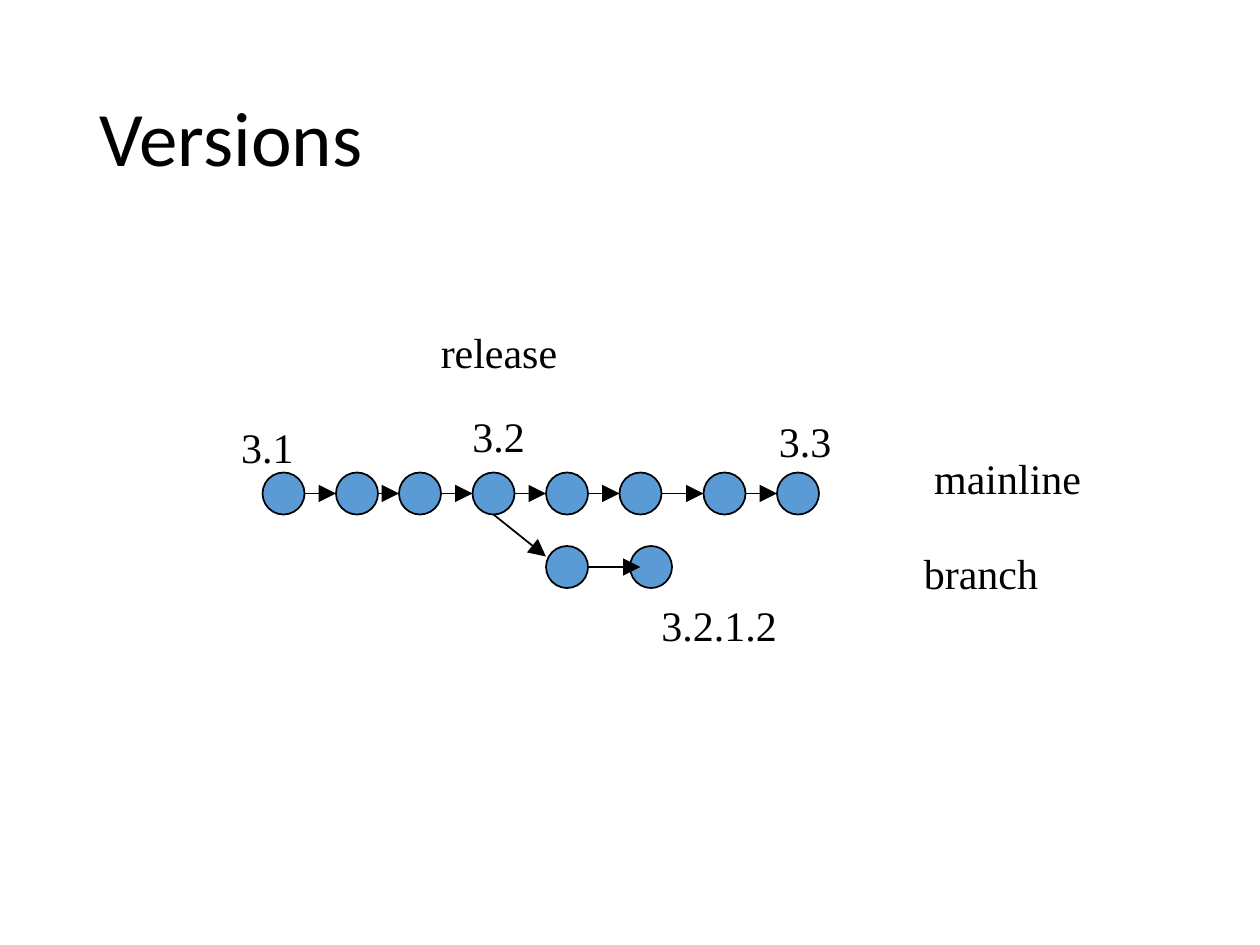
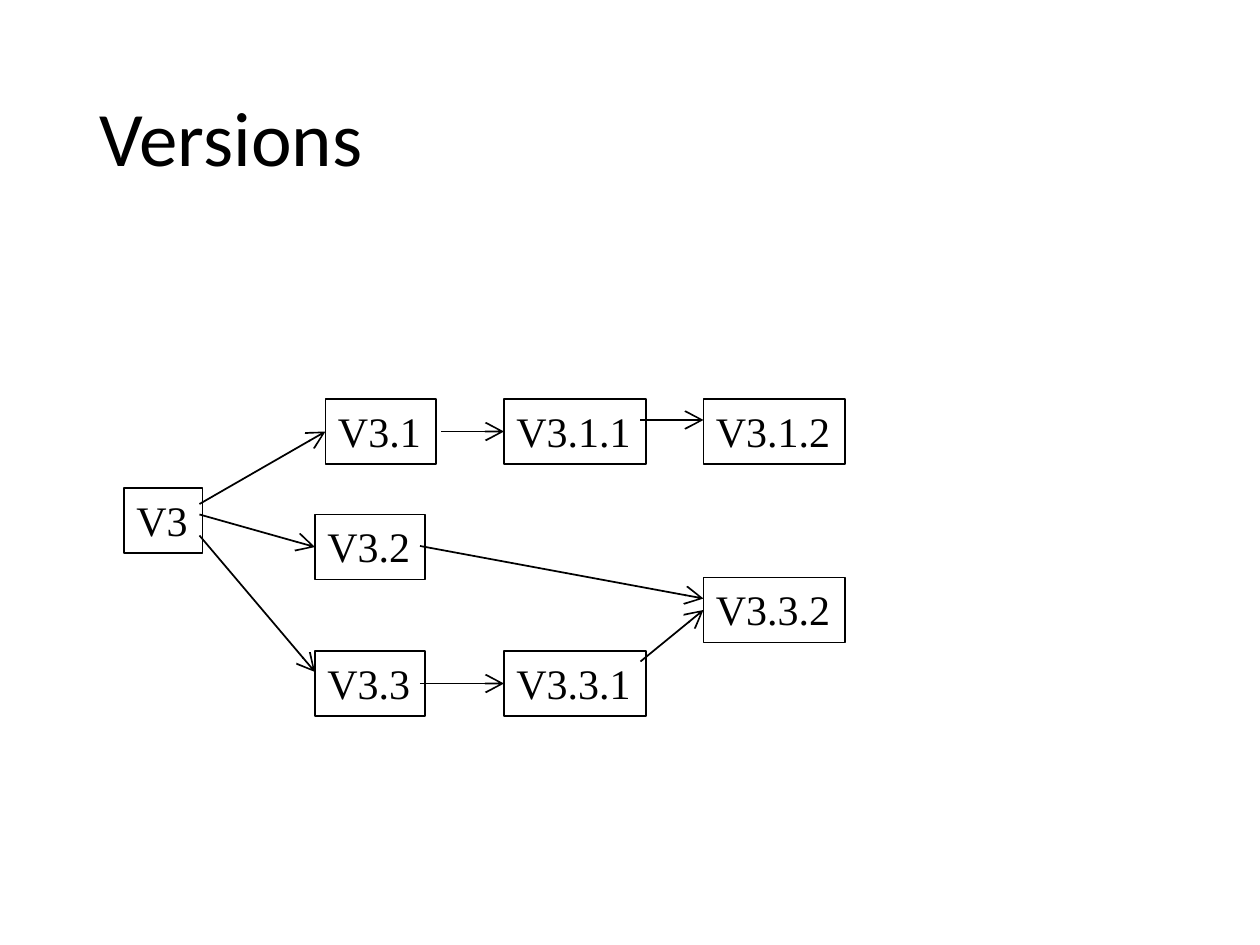
from itertools import pairwise
from typing import NamedTuple

from pptx import Presentation
from pptx.dml.color import RGBColor
from pptx.enum.shapes import MSO_CONNECTOR, MSO_SHAPE
from pptx.enum.text import MSO_ANCHOR, MSO_AUTO_SIZE, PP_ALIGN
from pptx.oxml.xmlchemy import OxmlElement
from pptx.shapes.autoshape import Shape
from pptx.slide import Slide
from pptx.text.text import TextFrame
from pptx.util import Emu, Pt

STRAIGHT = MSO_CONNECTOR.STRAIGHT
ELLIPSE = MSO_SHAPE.OVAL
LEFT = PP_ALIGN.LEFT
MIDDLE, TOP = MSO_ANCHOR.MIDDLE, MSO_ANCHOR.TOP
FIT_SHAPE, NO_FIT = MSO_AUTO_SIZE.SHAPE_TO_FIT_TEXT, MSO_AUTO_SIZE.NONE

EMU_PER_PX = 7620  # 120 px to the inch
SLIDE_WIDTH, SLIDE_HEIGHT = 1200, 900
TITLE_ONLY = 5
COLORS = {"ink": "000000", "commit": "5B9BD5"}
TITLE_FONT, LABEL_FONT = "Calibri", "Times New Roman"
LEFT_SIDE = 1  # connection site of a rectangle


class Label(NamedTuple):
    text: str
    x: int
    y: int
    width: int
    height: int = 60
    wrap: bool = False


class Step(NamedTuple):
    start: tuple[int, int]
    end: tuple[int, int]
    joined_to: str = ""  # version whose left side the arrow meets at its middle


# Commit history
COMMIT_SIZE = 40
MAINLINE_Y, BRANCH_Y = 450, 520
MAINLINE_XS = [250, 320, 380, 450, 520, 590, 670, 740]
BRANCH_XS = [520, 600]
HISTORY_LABELS = [
    Label("3.2", 438, 385, 75),
    Label("3.3", 730, 390, 90, wrap=True),
    Label("3.2.1.2", 618, 565, 136),
    Label("mainline", 878, 425, 166),
    Label("branch", 868, 516, 135),
    Label("release", 408, 305, 137),
    Label("3.1", 218, 396, 75),
]

# Version graph
VERSION_HEIGHT = 62
VERSIONS = [
    Label("V3", 118, 465, 75, VERSION_HEIGHT),
    Label("V3.3.2", 670, 550, 135, VERSION_HEIGHT),
    Label("V3.1", 310, 380, 105, VERSION_HEIGHT),
    Label("V3.2", 300, 490, 105, VERSION_HEIGHT),
    Label("V3.3", 300, 620, 105, VERSION_HEIGHT),
    Label("V3.3.1", 480, 620, 135, VERSION_HEIGHT),
    Label("V3.1.1", 480, 380, 135, VERSION_HEIGHT),
    Label("V3.1.2", 670, 380, 135, VERSION_HEIGHT),
]
VERSION_STEPS = [
    Step((190, 490), (300, 521), "V3.2"),
    Step((190, 510), (300, 640)),
    Step((420, 411), (480, 411), "V3.1.1"),
    Step((190, 480), (310, 411), "V3.1"),
    Step((610, 630), (670, 581), "V3.3.2"),
    Step((400, 520), (670, 570)),
    Step((610, 400), (670, 400)),
    Step((400, 651), (480, 651), "V3.3.1"),
]


def px(*lengths: int) -> list[Emu]:
    return [Emu(length * EMU_PER_PX) for length in lengths]


def color(name: str) -> RGBColor:
    return RGBColor.from_string(COLORS[name])


def write(frame: TextFrame, text: str, *, font: str = LABEL_FONT, size: int = 24,
          wrap: bool = False, anchor: MSO_ANCHOR = TOP,
          fit: MSO_AUTO_SIZE = FIT_SHAPE, spacing: float = 1.0) -> None:
    frame.text = text
    frame.word_wrap = wrap
    frame.auto_size = fit
    frame.vertical_anchor = anchor
    paragraph = frame.paragraphs[0]
    paragraph.alignment = LEFT
    paragraph.line_spacing = spacing
    run_font = paragraph.runs[0].font
    run_font.name, run_font.size = font, Pt(size)
    run_font.color.rgb = color("ink")


def outline(shape) -> None:
    shape.line.color.rgb = color("ink")
    shape.line.width = Pt(1)


def add_titled_slide(deck, title: str) -> Slide:
    slide = deck.slides.add_slide(deck.slide_layouts[TITLE_ONLY])
    heading = slide.shapes.title
    heading.left, heading.top, heading.width, heading.height = px(83, 48, 1034, 174)
    write(heading.text_frame, title, font=TITLE_FONT, size=44, wrap=True,
          anchor=MIDDLE, fit=NO_FIT, spacing=0.9)
    return slide


def add_label(slide: Slide, label: Label) -> Shape:
    box = slide.shapes.add_textbox(*px(label.x, label.y, label.width, label.height))
    write(box.text_frame, label.text, wrap=label.wrap)
    return box


def add_commit(slide: Slide, x: int, y: int) -> None:
    commit = slide.shapes.add_shape(ELLIPSE, *px(x, y, COMMIT_SIZE, COMMIT_SIZE))
    commit.shadow.inherit = False
    commit.fill.solid()
    commit.fill.fore_color.rgb = color("commit")
    outline(commit)


def add_arrow(slide: Slide, step: Step, head: str, target: Shape | None = None) -> None:
    arrow = slide.shapes.add_connector(STRAIGHT, *px(*step.start, *step.end))
    outline(arrow)
    tip = OxmlElement("a:tailEnd")
    for key, value in (("type", head), ("w", "lg"), ("len", "lg")):
        tip.set(key, value)
    arrow.line._get_or_add_ln().append(tip)
    arrow._element.spPr.append(OxmlElement("a:effectLst"))
    if target is not None:
        arrow.end_connect(target, LEFT_SIDE)


def build_history(deck) -> None:
    slide = add_titled_slide(deck, "Versions")
    for xs, y in ((MAINLINE_XS, MAINLINE_Y), (BRANCH_XS, BRANCH_Y)):
        for x in xs:
            add_commit(slide, x, y)

    # Arrows along the mainline, then off to the branch
    middle = COMMIT_SIZE // 2
    steps = [Step((x + COMMIT_SIZE, MAINLINE_Y + middle), (following, MAINLINE_Y + middle))
             for x, following in pairwise(MAINLINE_XS)]
    steps += [Step((470, 490), (520, 530)), Step((560, 540), (610, 540))]
    for step in steps:
        add_arrow(slide, step, "triangle")
    for label in HISTORY_LABELS:
        add_label(slide, label)


def build_version_graph(deck) -> None:
    slide = add_titled_slide(deck, "Versions")
    boxes = {version.text: add_label(slide, version) for version in VERSIONS}
    for box in boxes.values():
        outline(box)
    for step in VERSION_STEPS:
        add_arrow(slide, step, "arrow", boxes.get(step.joined_to))


def main() -> None:
    deck = Presentation()
    deck.slide_width, deck.slide_height = px(SLIDE_WIDTH, SLIDE_HEIGHT)
    build_history(deck)
    build_version_graph(deck)
    deck.save("out.pptx")


if __name__ == "__main__":
    main()
